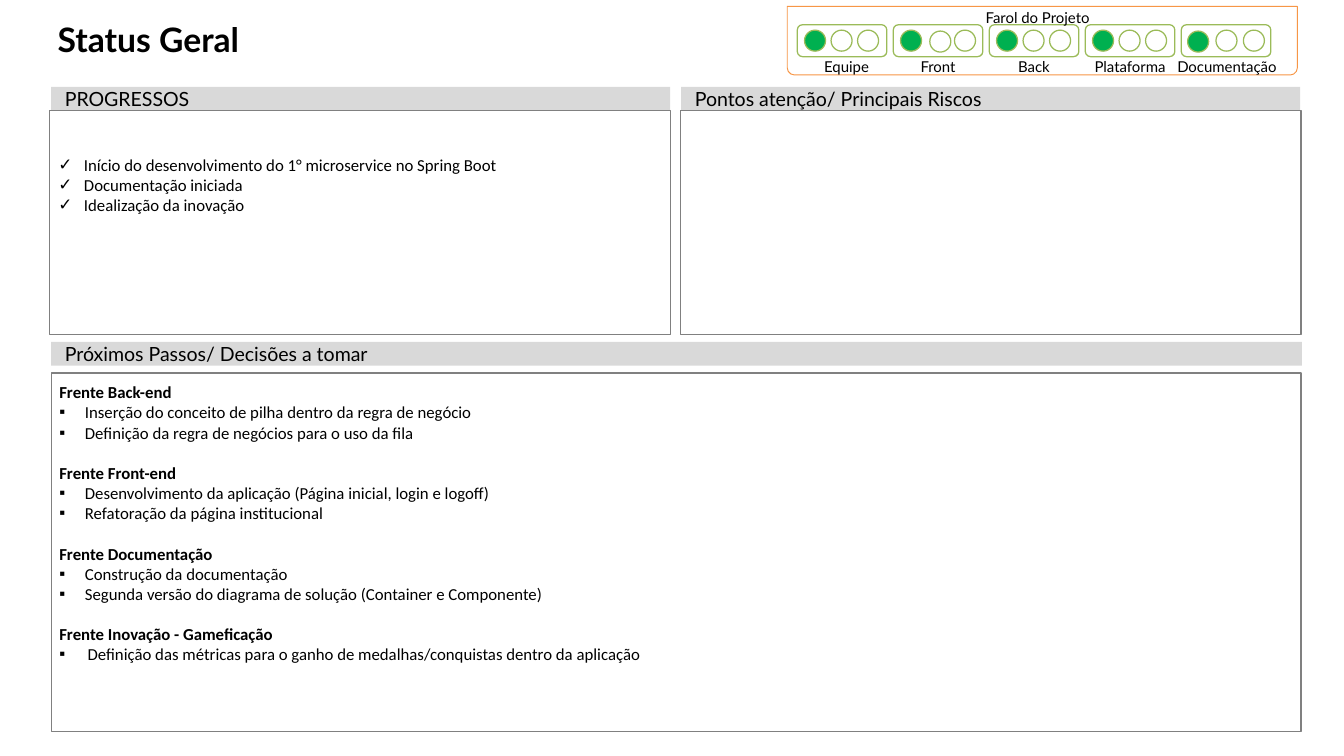
import pptx
import pptx.util
import pptx.dml.color
import pptx.enum.shapes
import pptx.enum.text
import pptx.oxml.ns
import lxml.etree

Inches, Pt = pptx.util.Inches, pptx.util.Pt
RGBColor = pptx.dml.color.RGBColor
SHAPE = pptx.enum.shapes.MSO_SHAPE
ANCHOR = pptx.enum.text.MSO_ANCHOR
ALIGN = pptx.enum.text.PP_ALIGN

# Content
TITLE = "Status Geral"
BEACON_TITLE = "Farol do Projeto"
# Each light: offset from the left of its panel, top
LIGHTS = [(0.08, 0.33), (0.37, 0.33), (0.66, 0.33)]
BEACONS = [  # name, lights, label shift
    ("Equipe", LIGHTS, 0.05),
    ("Front", [(0.08, 0.33), (0.4, 0.34), (0.67, 0.33)], 0),
    ("Back", LIGHTS, 0),
    ("Plataforma", LIGHTS, 0),
    ("Documentação", [(0.07, 0.34), (0.38, 0.33), (0.68, 0.33)], 0.01),
]
HEADERS = [  # text, left, top, width
    ("PROGRESSOS", 0.56, 0.95, 6.77),
    ("Pontos atenção/ Principais Riscos", 7.45, 0.95, 6.77),
    ("Próximos Passos/ Decisões a tomar", 0.56, 3.74, 13.68),
]
PROGRESS = [
    "Início do desenvolvimento do 1° microservice no Spring Boot",
    "Documentação iniciada",
    "Idealização da inovação",
]
NEXT_STEPS = [  # heading, items, indent
    ("Frente Back-end", [
        "Inserção do conceito de pilha dentro da regra de negócio",
        "Definição da regra de negócios para o uso da fila"], 0.28),
    ("Frente Front-end", [
        "Desenvolvimento da aplicação (Página inicial, login e logoff)",
        "Refatoração da página institucional"], 0.28),
    ("Frente Documentação", [
        "Construção da documentação",
        "Segunda versão do diagrama de solução (Container e Componente)"], 0.28),
    ("Frente Inovação - Gameficação", [
        "Definição das métricas para o ganho de medalhas/conquistas dentro da aplicação"], 0.31),
]

# Sizes
PANEL_WIDTH, PANEL_PITCH = 0.98, 1.05
LABEL_WIDTH = 1.6

# Colours
BLACK = RGBColor(0x00, 0x00, 0x00)
WHITE = RGBColor(0xFF, 0xFF, 0xFF)
GRAY = RGBColor(0x80, 0x80, 0x80)
LIGHT_GRAY = RGBColor(0xD9, 0xD9, 0xD9)
ORANGE = RGBColor(0xF7, 0x96, 0x46)
OLIVE = RGBColor(0x9B, 0xBB, 0x59)
GREEN = RGBColor(0x00, 0xB0, 0x50)


def add_box(s, kind, at, fill=None, line=None, width=1):
    sp = s.shapes.add_shape(kind, *map(Inches, at))
    sp.shadow.inherit = False
    if fill is None:
        sp.fill.background()
    else:
        sp.fill.solid()
        sp.fill.fore_color.rgb = fill
    if line is None:
        sp.line.fill.background()
    else:
        sp.line.color.rgb = line
        sp.line.width = Pt(width)
    return sp


def set_frame(sp, insets, anchor):
    tf = sp.text_frame
    tf.margin_left, tf.margin_top, tf.margin_right, tf.margin_bottom = map(Inches, insets)
    tf.vertical_anchor = anchor
    tf.word_wrap = True
    return tf


def write(p, text, size, font, bold=False, align=ALIGN.LEFT):
    p.text = text
    p.alignment = align
    f = p.runs[0].font
    f.size, f.name, f.bold = Pt(size), font, bold
    f.color.rgb = BLACK


def add_bullet(p, char, indent):
    pPr = p._p.get_or_add_pPr()
    pPr.set("marL", str(Inches(indent)))
    pPr.set("indent", str(-Inches(indent)))
    qn = pptx.oxml.ns.qn
    lxml.etree.SubElement(pPr, qn("a:buFont")).set("typeface", "Arial")
    lxml.etree.SubElement(pPr, qn("a:buChar")).set("char", char)


def next_paragraph(tf):
    return tf.add_paragraph() if tf.text else tf.paragraphs[0]


def add_label(s, text, center, top):
    at = (center - LABEL_WIDTH / 2, top, LABEL_WIDTH, 0.2)
    sp = s.shapes.add_textbox(*map(Inches, at))
    tf = set_frame(sp, (0, 0, 0, 0), ANCHOR.BOTTOM)
    write(tf.paragraphs[0], text, 11.8, "Lato", align=ALIGN.CENTER)


def main():
    prs = pptx.Presentation()
    prs.slide_width, prs.slide_height = Inches(14.7), Inches(8.27)
    s = prs.slides.add_slide(prs.slide_layouts[6])

    # Title
    sp = s.shapes.add_textbox(*map(Inches, (0.51, 0.21, 7.5, 0.88)))
    tf = set_frame(sp, (0.12, 0, 0.12, 0), ANCHOR.TOP)
    write(tf.paragraphs[0], TITLE, 26.5, "Lato", bold=True)

    # Project beacon: frame, panels, lights and labels
    frame = add_box(s, SHAPE.ROUND_2_SAME_RECTANGLE, (8.61, 0.07, 5.58, 0.75),
                    line=ORANGE, width=0.75)
    frame.rotation = 180
    frame.adjustments[0], frame.adjustments[1] = 0.106, 0
    for i, (name, lights, shift) in enumerate(BEACONS):
        left = 8.72 + PANEL_PITCH * i
        add_box(s, SHAPE.ROUNDED_RECTANGLE, (left, 0.27, PANEL_WIDTH, 0.35), WHITE, OLIVE)
        for j, (dx, top) in enumerate(lights):
            add_box(s, SHAPE.OVAL, (left + dx, top, 0.23, 0.23),
                    GREEN if j == 0 else WHITE, OLIVE)
        add_label(s, name, left + PANEL_WIDTH / 2 + shift, 0.63)
    add_label(s, BEACON_TITLE, 11.35, 0.09)

    # Section headers
    for text, left, top, width in HEADERS:
        sp = add_box(s, SHAPE.RECTANGLE, (left, top, width, 0.26), LIGHT_GRAY)
        tf = set_frame(sp, (0.15, 0.07, 0.15, 0.07), ANCHOR.MIDDLE)
        write(tf.paragraphs[0], text, 15.4, "Lato")

    # Section frames
    add_box(s, SHAPE.RECTANGLE, (7.44, 1.21, 6.79, 2.45), line=GRAY)
    progress = add_box(s, SHAPE.RECTANGLE, (0.54, 1.21, 6.79, 2.45), line=GRAY)
    add_box(s, SHAPE.RECTANGLE, (0.56, 4.08, 13.67, 3.92), line=GRAY)

    # Progress list
    tf = set_frame(progress, (0.1, 0.48, 0.1, 0.05), ANCHOR.TOP)
    for item in PROGRESS:
        p = next_paragraph(tf)
        write(p, item, 13.2, "Calibri")
        add_bullet(p, "✓", 0.28)

    # Next steps
    sp = s.shapes.add_textbox(*map(Inches, (0.55, 4.13, 6.62, 3.43)))
    tf = set_frame(sp, (0.1, 0.05, 0.1, 0.05), ANCHOR.TOP)
    for i, (heading, items, indent) in enumerate(NEXT_STEPS):
        p = next_paragraph(tf)
        write(p, heading, 13.2, "Calibri", bold=True)
        p.space_before = Pt(16 if i else 0)
        for item in items:
            p = next_paragraph(tf)
            write(p, item, 13.2, "Calibri")
            add_bullet(p, "▪", indent)

    prs.save("out.pptx")


if __name__ == "__main__":
    main()
